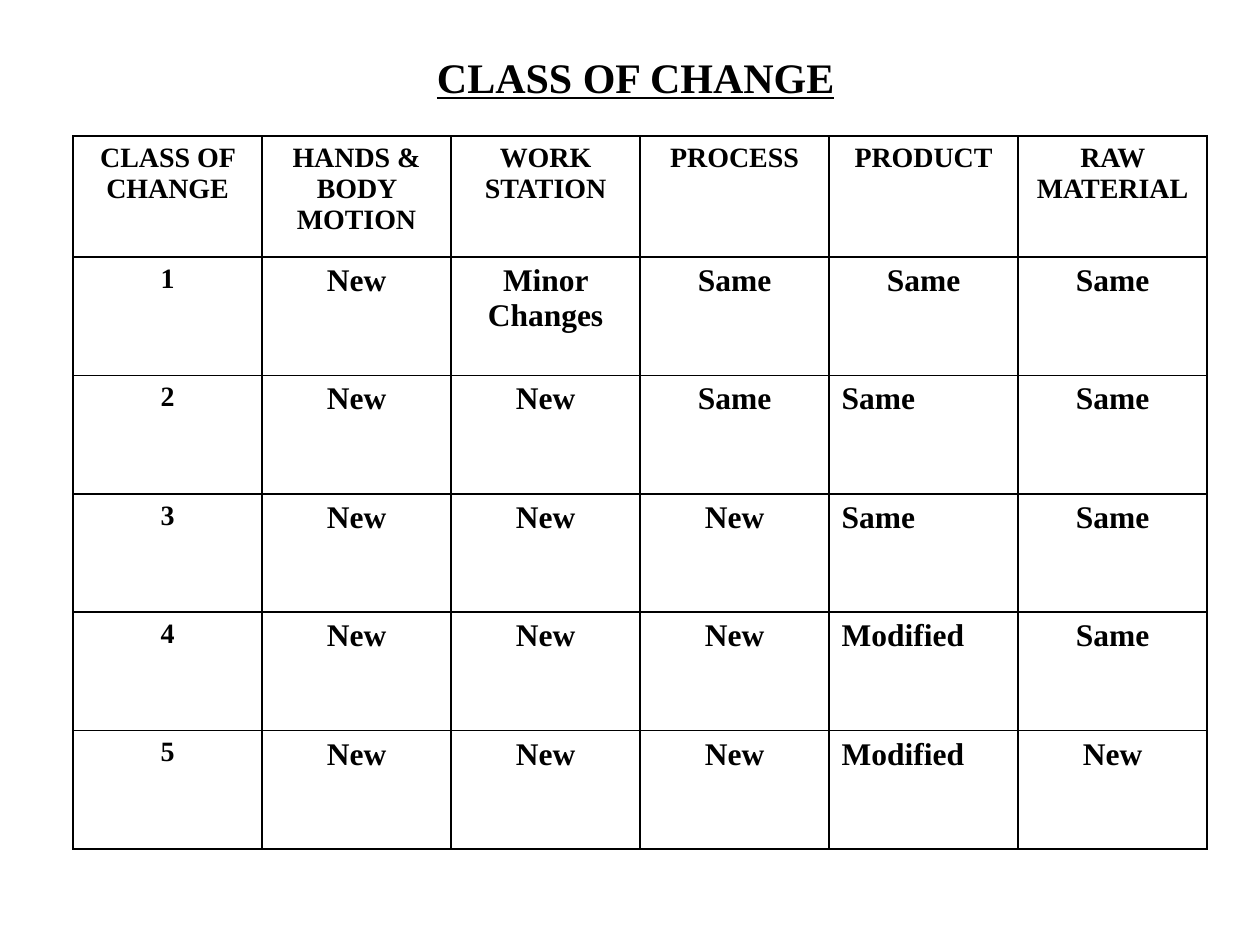
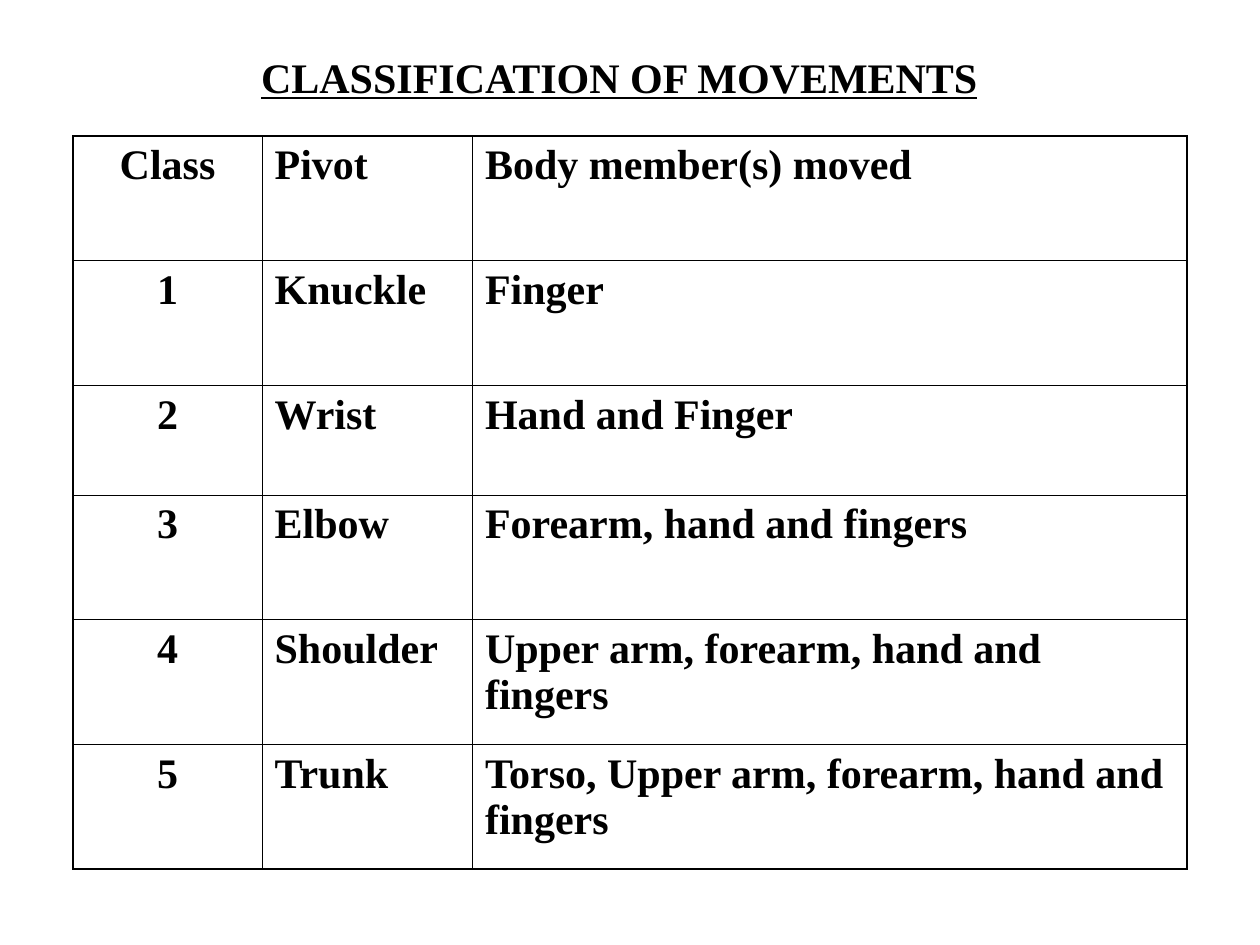
import pptx
import pptx.util
import pptx.dml.color
import pptx.enum.text
import pptx.oxml.ns
import lxml.etree

Inches, Pt = pptx.util.Inches, pptx.util.Pt
PP_ALIGN = pptx.enum.text.PP_ALIGN
ANCHOR = pptx.enum.text.MSO_ANCHOR
FONT, INK = "Times New Roman", "000000"
THICK, THIN = 1.08, 0.45


def write(tf, text, size, align=PP_ALIGN.CENTER, before=0, underline=False, color=INK):
    tf.word_wrap = True
    p = tf.paragraphs[0]
    p.alignment, p.space_before = align, Pt(before)
    r = p.add_run()
    r.text = text
    f = r.font
    f.name, f.size, f.bold, f.underline = FONT, Pt(size), True, underline
    f.color.rgb = pptx.dml.color.RGBColor.from_string(color)


def add_borders(cell, widths, color=INK):
    qn = pptx.oxml.ns.qn
    tc_pr = cell._tc.get_or_add_tcPr()
    for i, side in enumerate(("L", "R", "T", "B")):
        ln = lxml.etree.Element(qn(f"a:ln{side}"), w=str(Pt(widths[i])))
        fill = lxml.etree.SubElement(ln, qn("a:solidFill"))
        lxml.etree.SubElement(fill, qn("a:srgbClr"), val=color)
        tc_pr.insert(i, ln)


prs = pptx.Presentation()
prs.slide_width, prs.slide_height = Inches(10), Inches(7.5)

# Content: the two classification tables
change_rows = [
    ["CLASS OF CHANGE", "HANDS & BODY MOTION", "WORK STATION", "PROCESS", "PRODUCT", "RAW MATERIAL"],
    ["1", "New", "Minor Changes", "Same", "Same", "Same"],
    ["2", "New", "New", "Same", "Same", "Same"],
    ["3", "New", "New", "New", "Same", "Same"],
    ["4", "New", "New", "New", "Modified", "Same"],
    ["5", "New", "New", "New", "Modified", "New"],
]
movement_rows = [
    ["Class", "Pivot", "Body member(s) moved"],
    ["1", "Knuckle", "Finger"],
    ["2", "Wrist", "Hand and Finger"],
    ["3", "Elbow", "Forearm, hand and fingers"],
    ["4", "Shoulder", "Upper arm, forearm, hand and fingers"],
    ["5", "Trunk", "Torso, Upper arm, forearm, hand and fingers"],
]
slides = [
    dict(title="CLASS OF CHANGE", left=2.92, width=4.25, rows=change_rows,
         col_widths=[1.5] * 6, row_heights=[0.96] + [0.94] * 5,
         label_size=16, body_size=18, inner=THICK,
         is_left=lambda row, col: col == 4 and row > 1),
    dict(title="CLASSIFICATION OF MOVEMENTS", left=0.83, width=8.17, rows=movement_rows,
         col_widths=[1.5, 1.67, 5.67], row_heights=[0.99, 0.99, 0.87, 0.99, 0.99, 0.99],
         label_size=24, body_size=24, inner=THIN,
         is_left=lambda row, col: col > 0),
]

for d in slides:
    s = prs.slides.add_slide(prs.slide_layouts[5])

    # Title
    sp = s.shapes.title
    sp.left, sp.top = Inches(d["left"]), Inches(0.33)
    sp.width, sp.height = Inches(d["width"]), Inches(0.5)
    tf = sp.text_frame
    tf.auto_size = pptx.enum.text.MSO_AUTO_SIZE.NONE
    tf.vertical_anchor, tf.margin_bottom = ANCHOR.MIDDLE, 0
    write(tf, d["title"], 24, underline=True)

    # Table grid
    n_rows, n_cols = len(d["rows"]), len(d["col_widths"])
    table = s.shapes.add_table(n_rows, n_cols, Inches(0.58), Inches(1.08),
                               Inches(sum(d["col_widths"])), Inches(sum(d["row_heights"]))).table
    table.first_row = table.horz_banding = False
    for column, width in zip(table.columns, d["col_widths"]):
        column.width = Inches(width)
    for row, height in zip(table.rows, d["row_heights"]):
        row.height = Inches(height)

    # Cells: header row and class column use the label size
    for i, texts in enumerate(d["rows"]):
        for j, text in enumerate(texts):
            cell = table.cell(i, j)
            cell.fill.background()
            size = d["label_size"] if i == 0 or j == 0 else d["body_size"]
            align = PP_ALIGN.LEFT if d["is_left"](i, j) else PP_ALIGN.CENTER
            write(cell.text_frame, text, size, align, before=size / 4)
            on_edge = (j == 0, j == n_cols - 1, i == 0, i == n_rows - 1)
            add_borders(cell, [THICK if edge else d["inner"] for edge in on_edge])

prs.save("out.pptx")
